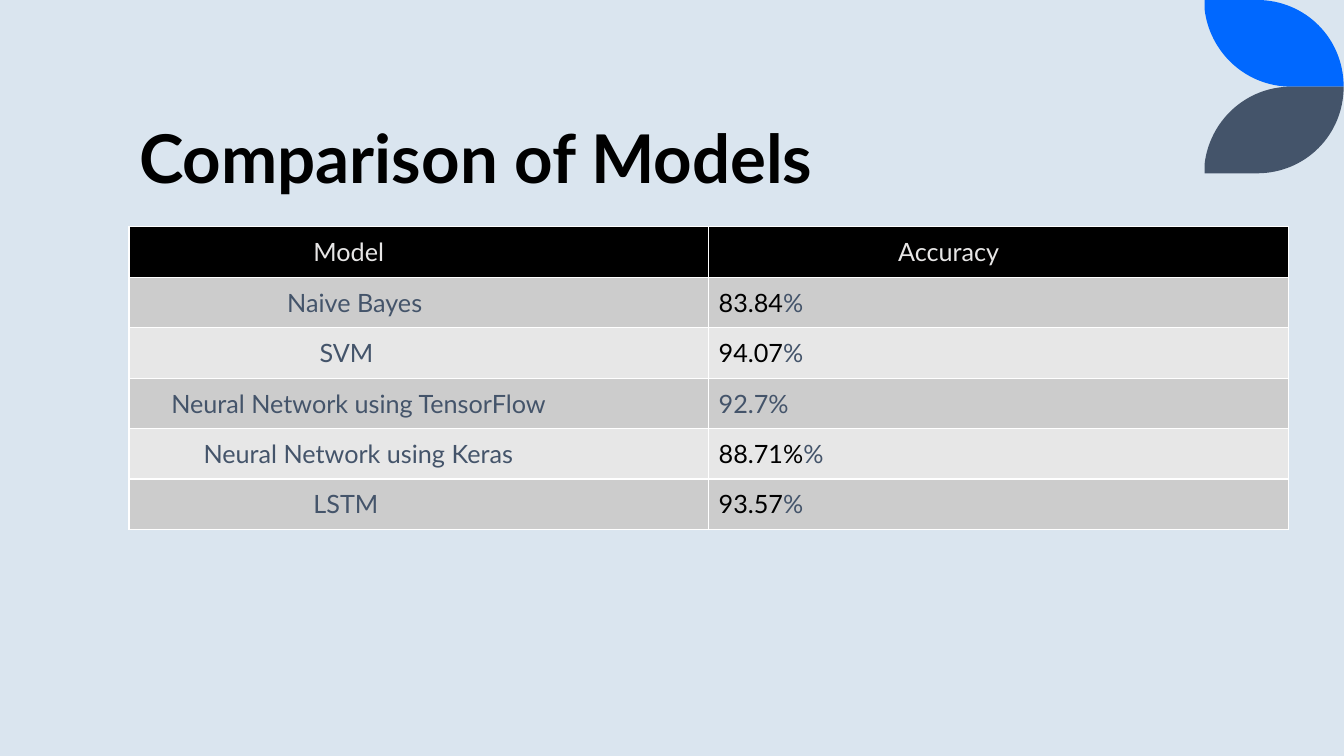
from lxml import etree
from pptx import Presentation
from pptx.dml.color import RGBColor
from pptx.enum import text
from pptx.oxml import ns
from pptx.util import Inches, Pt

FONT = "Lato"
BACKGROUND = RGBColor(0xDA, 0xE5, 0xEF)
BLUE = RGBColor(0x00, 0x68, 0xFF)
SLATE = RGBColor(0x44, 0x54, 0x6A)
BLACK = RGBColor(0x00, 0x00, 0x00)
WHITE = RGBColor(0xFF, 0xFF, 0xFF)
HEADER_TEXT = RGBColor(0xE7, 0xE6, 0xE6)
BANDS = [RGBColor(0xCC, 0xCC, 0xCC), RGBColor(0xE7, 0xE7, 0xE7)]

UNITS_PER_INCH = 100
LEAF_LEFT = 1195
LEAF_HEIGHT = 86
LEAF_CORNERS = [(0, 0), (52, 0), (138, 86), (86, 86), (0, 9)]
LEAF_CURVES = {1: [(100, 0), (138, 38)], 3: [(41, 86), (5, 52)]}

CELL_INSET = 0.1
ROW_HEIGHT = 0.5
HEADERS = [("Model", 1.73), ("Accuracy", 1.78)]
RESULTS = [
    ("Naive Bayes", 1.47, "83.84", "%"),
    ("SVM", 1.79, "94.07", "%"),
    ("Neural Network using TensorFlow", 0.32, "", "92.7%"),
    ("Neural Network using Keras", 0.64, "88.71%", "%"),
    ("LSTM", 1.73, "93.57", "%"),
]


def bend_edge(edge, controls):
    curve = etree.Element(ns.qn("a:cubicBezTo"))
    for x, y in controls:
        etree.SubElement(curve, ns.qn("a:pt"), x=str(x), y=str(y))
    edge.getparent().replace(edge, curve)
    curve.append(edge[0])


def add_leaf(slide, color, mirrored=False):
    def flip(y):
        return LEAF_HEIGHT - y if mirrored else y

    top = LEAF_HEIGHT if mirrored else 0
    outline = [(LEAF_LEFT + x, top + flip(y)) for x, y in LEAF_CORNERS]
    builder = slide.shapes.build_freeform(
        *outline[0], scale=Inches(1) / UNITS_PER_INCH)
    builder.add_line_segments(outline[1:], close=True)
    leaf = builder.convert_to_shape()
    edges = list(leaf._element.iter(ns.qn("a:lnTo")))
    for index, controls in LEAF_CURVES.items():
        bend_edge(edges[index], [(x, flip(y)) for x, y in controls])
    leaf.fill.solid()
    leaf.fill.fore_color.rgb = color
    leaf.line.fill.background()
    leaf.shadow.inherit = False


def format_run(run, size, color, bold=False):
    run.font.name = FONT
    run.font.size = Pt(size)
    run.font.bold = bold
    run.font.color.rgb = color


def add_title(slide, wording):
    title = slide.shapes.title
    title.left, title.top = Inches(1.28), Inches(0.5)
    title.width, title.height = Inches(10.6), Inches(1.5)
    frame = title.text_frame
    frame.text = wording
    frame.word_wrap = True
    frame.auto_size = text.MSO_AUTO_SIZE.NONE
    frame.vertical_anchor = text.MSO_ANCHOR.BOTTOM
    heading = frame.paragraphs[0]
    heading.alignment = text.PP_ALIGN.LEFT
    heading.line_spacing = 0.8
    format_run(heading.runs[0], 48, BLACK, bold=True)


def add_borders(cell):
    properties = cell._tc.get_or_add_tcPr()
    for side in ("a:lnL", "a:lnR", "a:lnT", "a:lnB"):
        border = etree.SubElement(properties, ns.qn(side), w=str(Pt(1)))
        fill = etree.SubElement(border, ns.qn("a:solidFill"))
        etree.SubElement(fill, ns.qn("a:srgbClr"), val=str(WHITE))


def fill_cell(cell, parts, fill, indent=0):
    add_borders(cell)
    cell.fill.solid()
    cell.fill.fore_color.rgb = fill
    cell.margin_left = Inches(CELL_INSET + indent)
    cell.margin_right = cell.margin_top = cell.margin_bottom = Inches(CELL_INSET)
    paragraph = cell.text_frame.paragraphs[0]
    for wording, color in parts:
        if wording:
            run = paragraph.add_run()
            run.text = wording
            format_run(run, 18, color)


def add_accuracy_table(slide):
    row_count = len(RESULTS) + 1
    table = slide.shapes.add_table(
        row_count, len(HEADERS), Inches(1.28), Inches(2.25),
        Inches(11.5), Inches(ROW_HEIGHT * row_count),
    ).table
    for column, (header, indent) in enumerate(HEADERS):
        fill_cell(table.cell(0, column), [(header, HEADER_TEXT)], BLACK, indent)
    for row, (model, indent, figure, suffix) in enumerate(RESULTS, start=1):
        band = BANDS[(row - 1) % 2]
        fill_cell(table.cell(row, 0), [(model, SLATE)], band, indent)
        fill_cell(table.cell(row, 1), [(figure, BLACK), (suffix, SLATE)], band)


def main():
    deck = Presentation()
    deck.slide_width, deck.slide_height = Inches(40 / 3), Inches(7.5)
    slide = deck.slides.add_slide(deck.slide_layouts[5])
    slide.background.fill.solid()
    slide.background.fill.fore_color.rgb = BACKGROUND
    add_leaf(slide, BLUE)
    add_leaf(slide, SLATE, mirrored=True)
    add_title(slide, "Comparison of Models")
    add_accuracy_table(slide)
    deck.save("out.pptx")


if __name__ == "__main__":
    main()
